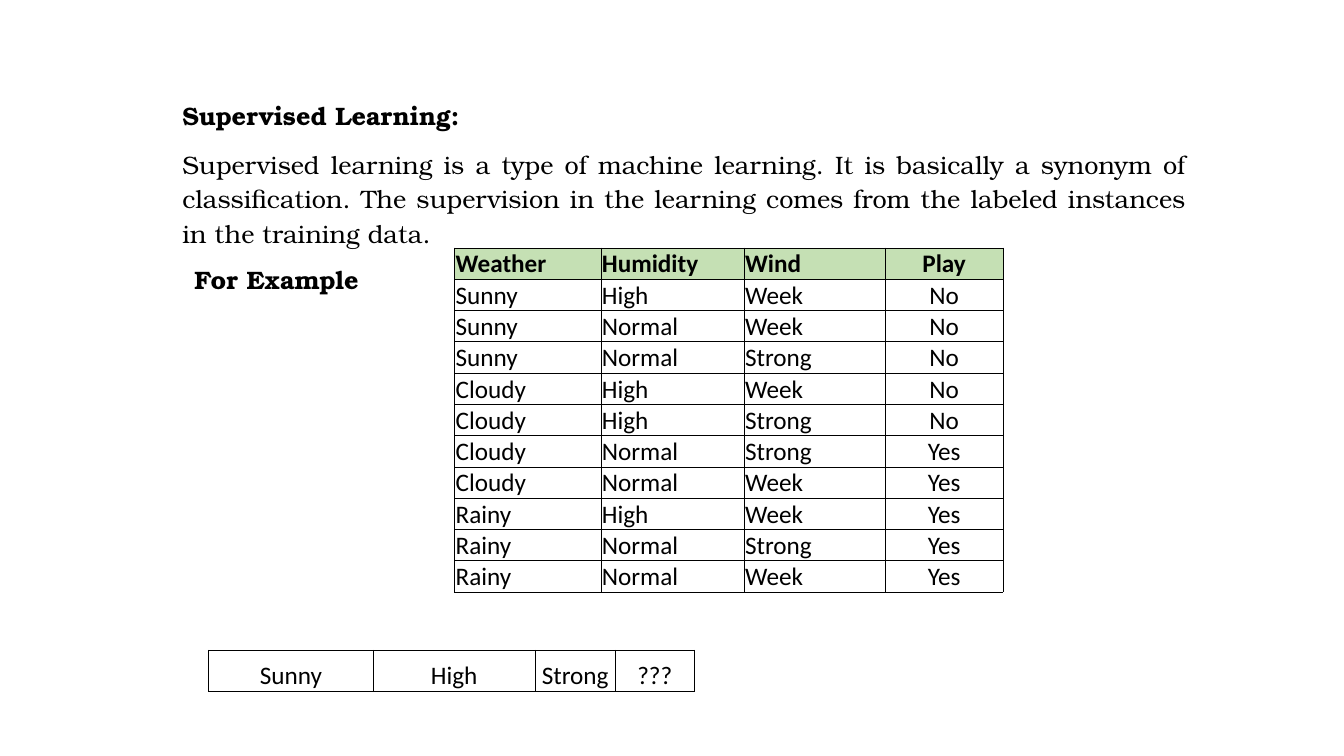
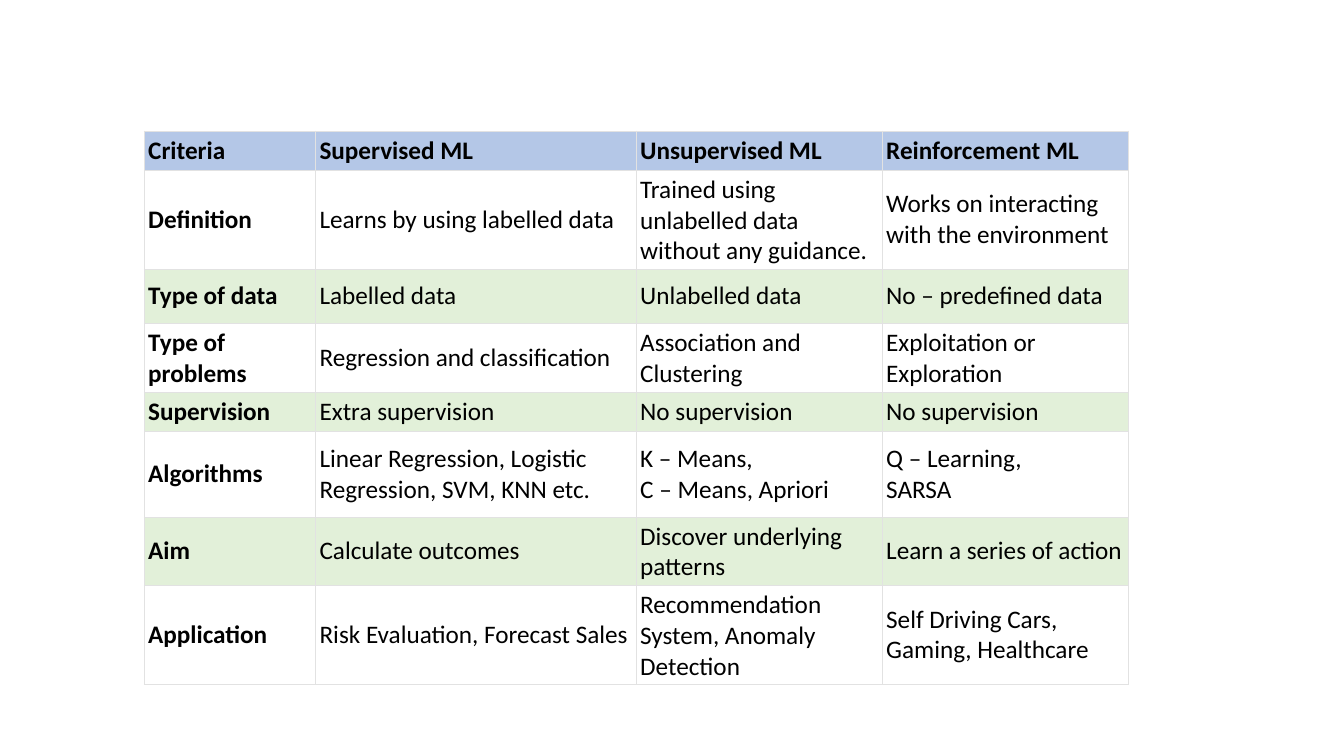
"""Build two slides on supervised learning and kinds of machine learning."""
from lxml import etree
from pptx import Presentation
from pptx.dml.color import RGBColor
from pptx.enum.text import MSO_ANCHOR, MSO_AUTO_SIZE, PP_ALIGN
from pptx.oxml.ns import qn
from pptx.util import Inches, Pt

LEFT, CENTER, JUSTIFY = PP_ALIGN.LEFT, PP_ALIGN.CENTER, PP_ALIGN.JUSTIFY
BOTTOM, MIDDLE = MSO_ANCHOR.BOTTOM, MSO_ANCHOR.MIDDLE
FIT_SHAPE = MSO_AUTO_SIZE.SHAPE_TO_FIT_TEXT

BLACK, GRAY = "000000", "E2E2E2"
GREEN, PALE_GREEN, BLUE = "C5E0B4", "E2F0D9", "B4C7E7"
BODY_FONT, TABLE_FONT = "TeX Gyre Bonum", "Calibri"
TEXT_SIZE = Pt(18)

BODY_FORMAT = {"line_spacing": 1.15, "space_after": Pt(10)}
TIGHT_CELL = {
    "vertical_anchor": BOTTOM,
    "margin_left": Inches(0.01),
    "margin_right": Inches(0.01),
    "margin_top": Inches(0.01),
    "margin_bottom": 0,
}
ROOMY_CELL = {"vertical_anchor": MIDDLE} | {
    f"margin_{side}": Inches(0.04) for side in ("left", "right", "top", "bottom")
}

WEATHER = [
    ("Weather", "Humidity", "Wind", "Play"),
    ("Sunny", "High", "Week", "No"),
    ("Sunny", "Normal", "Week", "No"),
    ("Sunny", "Normal", "Strong", "No"),
    ("Cloudy", "High", "Week", "No"),
    ("Cloudy", "High", "Strong", "No"),
    ("Cloudy", "Normal", "Strong", "Yes"),
    ("Cloudy", "Normal", "Week", "Yes"),
    ("Rainy", "High", "Week", "Yes"),
    ("Rainy", "Normal", "Strong", "Yes"),
    ("Rainy", "Normal", "Week", "Yes"),
]
QUESTION = [("Sunny", "High", "Strong", "???")]
COMPARISON = [
    ("Criteria", "Supervised ML", "Unsupervised ML", "Reinforcement ML"),
    ("Definition", "Learns by using labelled data",
     "Trained using unlabelled data without any guidance.",
     "Works on interacting with the environment"),
    ("Type of data", "Labelled data", "Unlabelled data", "No – predefined data"),
    ("Type of problems", "Regression and classification",
     "Association and Clustering", "Exploitation or Exploration"),
    ("Supervision", "Extra supervision", "No supervision", "No supervision"),
    ("Algorithms", "Linear Regression, Logistic Regression, SVM, KNN etc.",
     "K – Means,\nC – Means, Apriori", "Q – Learning,\nSARSA"),
    ("Aim", "Calculate outcomes", "Discover underlying patterns",
     "Learn a series of action"),
    ("Application", "Risk Evaluation, Forecast Sales",
     "Recommendation System, Anomaly Detection",
     "Self Driving Cars, Gaming, Healthcare"),
]


def color(value):
    """Turn a hex string into a colour."""
    return RGBColor.from_string(value)


def apply_format(target, values):
    """Set each named attribute on the target."""
    for name, value in values.items():
        setattr(target, name, value)


def write(para, text, font, bold=False, align=LEFT):
    """Fill a paragraph with text in the shared style."""
    para.text = text
    para.alignment = align
    for span in para.runs:
        apply_format(span.font, {"name": font, "size": TEXT_SIZE, "bold": bold})
        span.font.color.rgb = color(BLACK)


def add_text(page, area, lines, wrap=True):
    """Add a text box with one paragraph per (text, bold, align) line."""
    frame = page.shapes.add_textbox(*map(Inches, area)).text_frame
    apply_format(frame, {"word_wrap": wrap, "auto_size": FIT_SHAPE})
    for index, (text, bold, align) in enumerate(lines):
        para = frame.add_paragraph() if index else frame.paragraphs[0]
        write(para, text, BODY_FONT, bold, align)
        apply_format(para, BODY_FORMAT)


def add_borders(cell, line_color, width):
    """Draw a solid line on all four sides of a cell."""
    properties = cell._tc.get_or_add_tcPr()
    for tag in ("a:lnL", "a:lnR", "a:lnT", "a:lnB"):
        line = etree.SubElement(properties, qn(tag), w=str(Pt(width)))
        fill = etree.SubElement(line, qn("a:solidFill"))
        etree.SubElement(fill, qn("a:srgbClr"), val=line_color)


def add_grid(page, corner, widths, heights, rows, cell_format, border,
             fills=None, centered=(), bold_header=True, bold_labels=False):
    """Add a table with row fills, centred columns and bold headings."""
    fills = fills or {}
    size = sum(widths), sum(heights)
    table = page.shapes.add_table(
        len(rows), len(widths), *map(Inches, (*corner, *size))).table
    apply_format(table, {"first_row": False, "horz_banding": False})
    for column, width in zip(table.columns, widths):
        column.width = Inches(width)
    for row, height in zip(table.rows, heights):
        row.height = Inches(height)
    for i, texts in enumerate(rows):
        for j, text in enumerate(texts):
            cell = table.cell(i, j)
            apply_format(cell, cell_format)
            add_borders(cell, *border)
            if i in fills:
                cell.fill.solid()
                cell.fill.fore_color.rgb = color(fills[i])
            else:
                cell.fill.background()
            bold = (bold_header and i == 0) or (bold_labels and j == 0)
            write(cell.text_frame.paragraphs[0], text, TABLE_FONT, bold,
                  CENTER if j in centered else LEFT)


def build_example(page):
    """Explain supervised learning with a weather example."""
    add_text(page, (1.71, 0.9, 10.15, 1.63), [
        ("Supervised Learning:", True, LEFT),
        ("Supervised learning is a type of machine learning. It is basically a "
         "synonym of classiﬁcation. The supervision in the learning comes from "
         "the labeled instances in the training data. ", False, JUSTIFY),
    ])
    add_text(page, (1.83, 2.53, 1.86, 0.43), [("For Example", True, LEFT)], wrap=False)
    add_grid(page, (4.51, 2.46), (1.45, 1.42, 1.4, 1.17), [0.31] * len(WEATHER),
             WEATHER, TIGHT_CELL, (BLACK, 0.5), fills={0: GREEN}, centered=(3,))
    add_grid(page, (2.07, 6.45), (1.63, 1.61, 0.79, 0.79), [0.41],
             QUESTION, TIGHT_CELL, (BLACK, 0.5), centered=range(4), bold_header=False)


def build_comparison(page):
    """Compare the three kinds of machine learning."""
    fills = {0: BLUE} | {row: PALE_GREEN for row in (2, 4, 6)}
    add_grid(page, (1.43, 1.3), (1.7, 3.18, 2.44, 2.44),
             (0.39, 0.69, 0.54, 0.39, 0.39, 0.85, 0.54, 0.69),
             COMPARISON, ROOMY_CELL, (GRAY, 0.6), fills=fills, bold_labels=True)


def main():
    """Build and save the deck."""
    deck = Presentation()
    apply_format(deck, {"slide_width": Inches(13.33), "slide_height": Inches(7.5)})
    for build in (build_example, build_comparison):
        build(deck.slides.add_slide(deck.slide_layouts[6]))
    deck.save("out.pptx")


if __name__ == "__main__":
    main()
